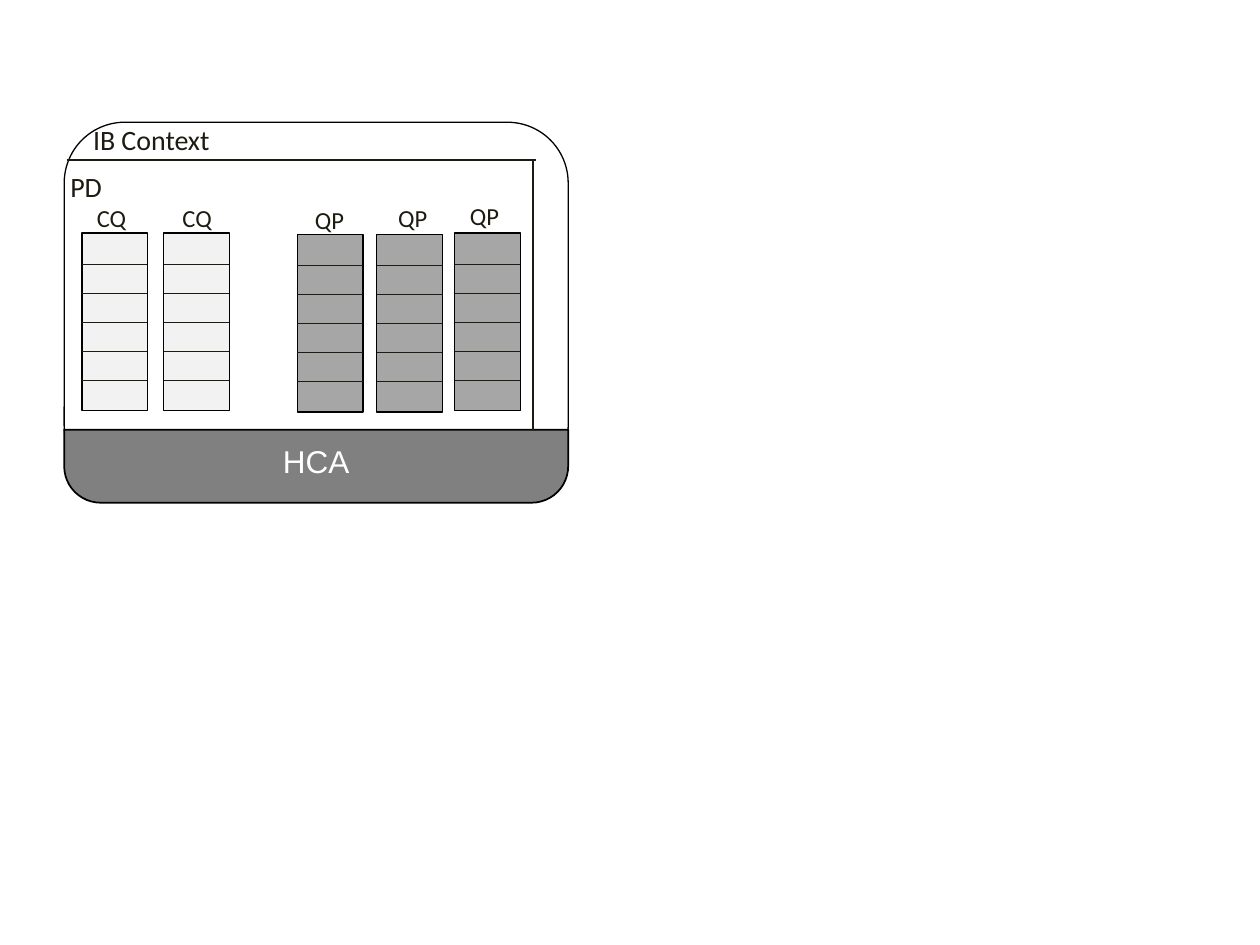
from lxml.etree import SubElement
from pptx import Presentation
from pptx.dml.color import RGBColor
from pptx.enum.shapes import MSO_CONNECTOR, MSO_SHAPE
from pptx.enum.text import MSO_ANCHOR, MSO_AUTO_SIZE, PP_ALIGN
from pptx.oxml.ns import qn
from pptx.util import Inches, Pt

INK, BLACK, WHITE = "1E1C11", "000000", "FFFFFF"
CQ_FILL, QP_FILL, HCA_FILL = "F2F2F2", "A6A6A6", "808080"

QUEUES = [
    {"name": "QP", "left": 2.99, "top": 1.86, "label": (2.99, 1.56), "fill": QP_FILL},
    {"name": "QP", "left": 2.36, "top": 1.86, "label": (2.33, 1.58), "fill": QP_FILL},
    {"name": "CQ", "left": 1.30, "top": 1.85, "label": (1.28, 1.56), "fill": CQ_FILL},
    {"name": "QP", "left": 3.61, "top": 1.85, "label": (3.56, 1.55), "fill": QP_FILL},
    {"name": "CQ", "left": 0.65, "top": 1.85, "label": (0.60, 1.56), "fill": CQ_FILL},
]
QUEUE_WIDTH, QUEUE_HEIGHT = 0.52, 1.41
SLOTS, FIRST_SLOT, SLOT_STEP = 6, 0.25, 0.23
TITLES = [("PD", (0.46, 1.3, 0.87, 0.37)), ("IB Context", (0.64, 0.92, 2.17, 0.37))]
CONTEXT_BOX = (0.51, 0.97, 4, 2.89)
HCA_BOX = (0.51, 3.41, 4, 0.58)
PD_EDGES = [((0.53, 1.27), (4.25, 1.27)), ((4.23, 1.26), (4.23, 3.41))]


def color(value):
    """Turn a hex string into a colour."""
    return RGBColor.from_string(value)


def write(frame, text, size=16, font="Calibri", ink=INK, align=PP_ALIGN.LEFT):
    """Put formatted text into a text frame."""
    paragraph = frame.paragraphs[0]
    paragraph.alignment = align
    run = paragraph.add_run()
    run.text = text
    run.font.size = Pt(size)
    run.font.name = font
    run.font.color.rgb = color(ink)


def add_label(shapes, text, box, **style):
    """Add a wrapping text box."""
    frame = shapes.add_textbox(*map(Inches, box)).text_frame
    frame.word_wrap = True
    frame.auto_size = MSO_AUTO_SIZE.SHAPE_TO_FIT_TEXT
    write(frame, text, **style)


def add_box(shapes, kind, box, fill=None, width=0.75):
    """Add an outlined shape, filled when a colour is given."""
    shape = shapes.add_shape(kind, *map(Inches, box))
    shape.shadow.inherit = False
    if fill:
        shape.fill.solid()
        shape.fill.fore_color.rgb = color(fill)
    else:
        shape.fill.background()
    shape.line.color.rgb = color(BLACK)
    shape.line.width = Pt(width)
    return shape


def add_line(shapes, start, end):
    """Add a thin straight line."""
    line = shapes.add_connector(MSO_CONNECTOR.STRAIGHT, *map(Inches, (*start, *end)))
    line.line.color.rgb = color(INK)
    line.line.width = Pt(0.75)
    SubElement(line._element.spPr, qn("a:effectLst"))


def add_queue(shapes, queue):
    """Add a labelled queue divided into slots."""
    left, top = queue["left"], queue["top"]
    parts = shapes.add_group_shape().shapes
    add_box(parts, MSO_SHAPE.FLOWCHART_PROCESS,
            (left, top, QUEUE_WIDTH, QUEUE_HEIGHT), queue["fill"])
    for slot in range(SLOTS - 1):
        y = top + FIRST_SLOT + slot * SLOT_STEP
        add_line(parts, (left, y), (left + QUEUE_WIDTH, y))
    add_label(shapes, queue["name"], (*queue["label"], 0.57, 0.34),
              size=14, align=PP_ALIGN.CENTER)


def main():
    """Build the slide and save it."""
    deck = Presentation()
    deck.slide_width, deck.slide_height = Inches(10), Inches(7.5)
    shapes = deck.slides.add_slide(deck.slide_layouts[6]).shapes

    for queue in QUEUES:
        add_queue(shapes, queue)

    add_box(shapes, MSO_SHAPE.ROUNDED_RECTANGLE, CONTEXT_BOX)
    hca = add_box(shapes, MSO_SHAPE.ROUND_2_SAME_RECTANGLE, HCA_BOX, HCA_FILL, 1)
    hca.adjustments[0], hca.adjustments[1] = 0, 0.5
    hca.text_frame.vertical_anchor = MSO_ANCHOR.MIDDLE
    write(hca.text_frame, "HCA", size=18, font="Arial", ink=WHITE, align=PP_ALIGN.CENTER)

    for start, end in PD_EDGES:
        add_line(shapes, start, end)
    for title, box in TITLES:
        add_label(shapes, title, box)

    deck.save("out.pptx")


main()
